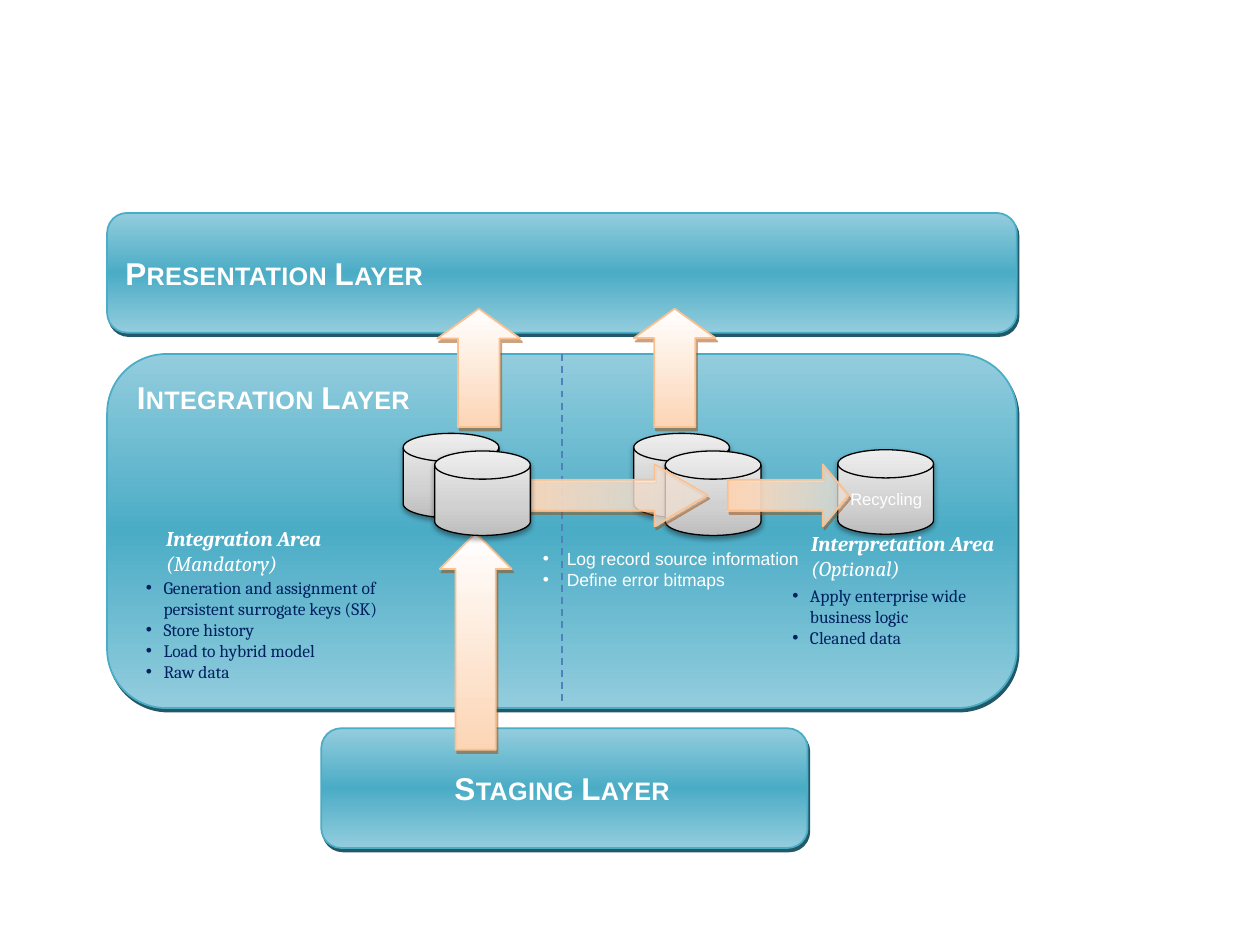
"""Build a slide of data warehouse layers: staging, integration and presentation."""
from dataclasses import dataclass
from lxml.etree import SubElement, fromstring
from pptx import Presentation
from pptx.dml.color import RGBColor
from pptx.enum.dml import MSO_LINE
from pptx.enum.shapes import MSO_CONNECTOR, MSO_SHAPE
from pptx.enum.text import MSO_ANCHOR, PP_ALIGN
from pptx.oxml.ns import nsdecls, qn
from pptx.util import Inches, Pt


@dataclass(frozen=True)
class Style:
    stops: tuple
    angle: int
    line: str
    width: float
    shadow: tuple


@dataclass(frozen=True)
class Theme:
    layer = Style(((0, "93CDDD", 100), (50, "4BACC6", 100), (100, "93CDDD", 100)),
                  90, "4BACC6", 1, ("215968", 100, 0, 2.2, 63))
    arrow = Style(((0, "FFFFFF", 100), (100, "FCD5B5", 100)),
                  90, "FAC090", 1, ("984807", 50, 0, 2.2, 63))
    glass = Style(((0, "FFFFFF", 60), (100, "FCD5B5", 100)),
                  90, "FAC090", 1, ("984807", 50, 0, 2.2, 63))
    disk = Style(((0, "BDBDBD", 100), (35, "D1D1D1", 100), (100, "EEEEEE", 100)),
                 270, "000000", 0.75, ("000000", 38, 3.1, 1.6, 90))
    white, navy, divider = "FFFFFF", "002060", "4F81BD"
    sans, serif = "Arial", "Cambria"
    title, area, body, label = 18, 12, 10, 9.5


T = Theme()
prs = Presentation()
prs.slide_width, prs.slide_height = Inches(10), Inches(7.5)
COL, ROW = prs.slide_width / 100, prs.slide_height / 75
s = prs.slides.add_slide(prs.slide_layouts[6])


def add_block(kind, box, style, adj=(), rot=0):
    x, y, w, h = box
    sp = s.shapes.add_shape(kind, int(x * COL), int(y * ROW), int(w * COL), int(h * ROW))
    sp.rotation = rot
    for i, value in enumerate(adj):
        sp.adjustments[i] = value
    stops = "".join(
        f'<a:gs pos="{pos * 1000}"><a:srgbClr val="{color}"><a:alpha val="{alpha * 1000}"/>'
        f'</a:srgbClr></a:gs>' for pos, color, alpha in style.stops)
    sp._element.spPr.insert(2, fromstring(
        f'<a:gradFill {nsdecls("a")} rotWithShape="1"><a:gsLst>{stops}</a:gsLst>'
        f'<a:lin ang="{style.angle * 60000}" scaled="0"/></a:gradFill>'))
    sp.line.color.rgb = RGBColor.from_string(style.line)
    sp.line.width = Pt(style.width)
    color, alpha, blur, dist, angle = style.shadow
    sp._element.spPr.append(fromstring(
        f'<a:effectLst {nsdecls("a")}><a:outerShdw blurRad="{Pt(blur)}" dist="{Pt(dist)}" '
        f'dir="{angle * 60000}" algn="ctr" rotWithShape="0"><a:srgbClr val="{color}">'
        f'<a:alpha val="{alpha * 1000}"/></a:srgbClr></a:outerShdw></a:effectLst>'))
    return sp


def add_run(p, text, font, size, color, bold=False, italic=False):
    r = p.add_run()
    r.text = text
    r.font.name, r.font.size = font, Pt(size)
    r.font.bold, r.font.italic = bold, italic
    r.font.color.rgb = RGBColor.from_string(color)
    return r


LEFT, WIDTH = 8.5, 72.2
layers = [
    ("Integration Layer", (LEFT, 28.1, WIDTH, 28.1), MSO_ANCHOR.TOP, PP_ALIGN.LEFT),
    ("Staging Layer", (25.5, 57.8, 38.6, 9.5), MSO_ANCHOR.MIDDLE, PP_ALIGN.CENTER),
    ("Presentation Layer", (LEFT, 16.9, WIDTH, 9.5), MSO_ANCHOR.MIDDLE, PP_ALIGN.LEFT),
]
for name, box, anchor, align in layers:
    tf = add_block(MSO_SHAPE.ROUNDED_RECTANGLE, box, T.layer, (0.167,)).text_frame
    tf.word_wrap, tf.vertical_anchor = True, anchor
    p = tf.paragraphs[0]
    p.alignment = align
    rPr = add_run(p, name, T.sans, T.title, T.white, bold=True).font._element
    rPr.set("cap", "small")
    rPr.set("spc", "20")

up_arrows = [
    ((34.9, 42.3, 5.7, 17.2), (0.56, 0.5)),
    ((34.7, 24.5, 6.6, 9.4), (0.5, 0.36)),
    ((50.3, 24.5, 6.5, 9.4), (0.5, 0.36)),
]
for box, adj in up_arrows:
    add_block(MSO_SHAPE.UP_ARROW, box, T.arrow, adj)

divider = s.shapes.add_connector(MSO_CONNECTOR.STRAIGHT, int(44.6 * COL), int(28.1 * ROW),
                                 int(44.6 * COL), int(55.9 * ROW))
divider.line.color.rgb = RGBColor.from_string(T.divider)
divider.line.width, divider.line.dash_style = Pt(1), MSO_LINE.DASH
SubElement(divider._element.spPr, qn("a:effectLst"))

DISK, ARROW, RIGHT = MSO_SHAPE.FLOWCHART_MAGNETIC_DISK, MSO_SHAPE.UP_ARROW, 90
stores = [
    (DISK, (32, 34.4, 7.6, 6.7), T.disk, (), 0),
    (DISK, (66.5, 35.7, 7.6, 6.7), T.disk, (), 0),
    (DISK, (50.3, 34.4, 7.6, 6.7), T.disk, (), 0),
    (DISK, (52.8, 35.8, 7.6, 6.7), T.disk, (), 0),
    (ARROW, (60.1, 34.5, 4.9, 9.6), T.glass, (0.5, 0.42), RIGHT),
    (ARROW, (45.3, 30.9, 4.9, 16.8), T.glass, (0.5, 0.86), RIGHT),
    (DISK, (34.5, 35.8, 7.6, 6.7), T.disk, (), 0),
]
for block in stores:
    add_block(*block)

heading = (T.serif, T.area, T.white, True, True)
subheading = (T.serif, T.area, T.white, False, True)
note = (T.serif, T.body, T.navy)
log = (T.sans, T.body, T.white)
texts = [
    ((59.4, 45.9, 21.3, 6.2), (0.39, -0.14),
     [("Apply enterprise wide business logic", note), ("Cleaned data", note)]),
    ((8.1, 45.3, 28.3, 9.4), (0.39, -0.14),
     [("Generation and assignment of persistent surrogate keys (SK)", note),
      ("Store history", note), ("Load to hybrid model", note), ("Raw data", note)]),
    ((42.1, 43, 26.9, 7), (0.19, -0.19),
     [("Log record source information", log), ("Define error bitmaps", log)]),
    ((12.2, 41.2, 18.4, 5), None,
     [("Integration Area", heading), ("(Mandatory)", subheading)]),
    ((63.4, 41.6, 18.4, 5.9), None,
     [("Interpretation Area", heading), ("(Optional)", subheading)]),
    ((66.5, 38.3, 9, 3.9), None, [("Recycling", (T.sans, T.label, T.white))]),
]
for (x, y, w, h), bullet, lines in texts:
    tf = s.shapes.add_textbox(int(x * COL), int(y * ROW), int(w * COL), int(h * ROW)).text_frame
    tf.word_wrap = True
    for i, (text, font) in enumerate(lines):
        p = tf.add_paragraph() if i else tf.paragraphs[0]
        add_run(p, text, *font)
        if bullet:
            pPr = p._p.get_or_add_pPr()
            pPr.set("marL", str(Inches(bullet[0])))
            pPr.set("indent", str(Inches(bullet[1])))
            SubElement(pPr, qn("a:buFont"), typeface=T.sans)
            SubElement(pPr, qn("a:buChar"), char="•")

prs.save("out.pptx")
